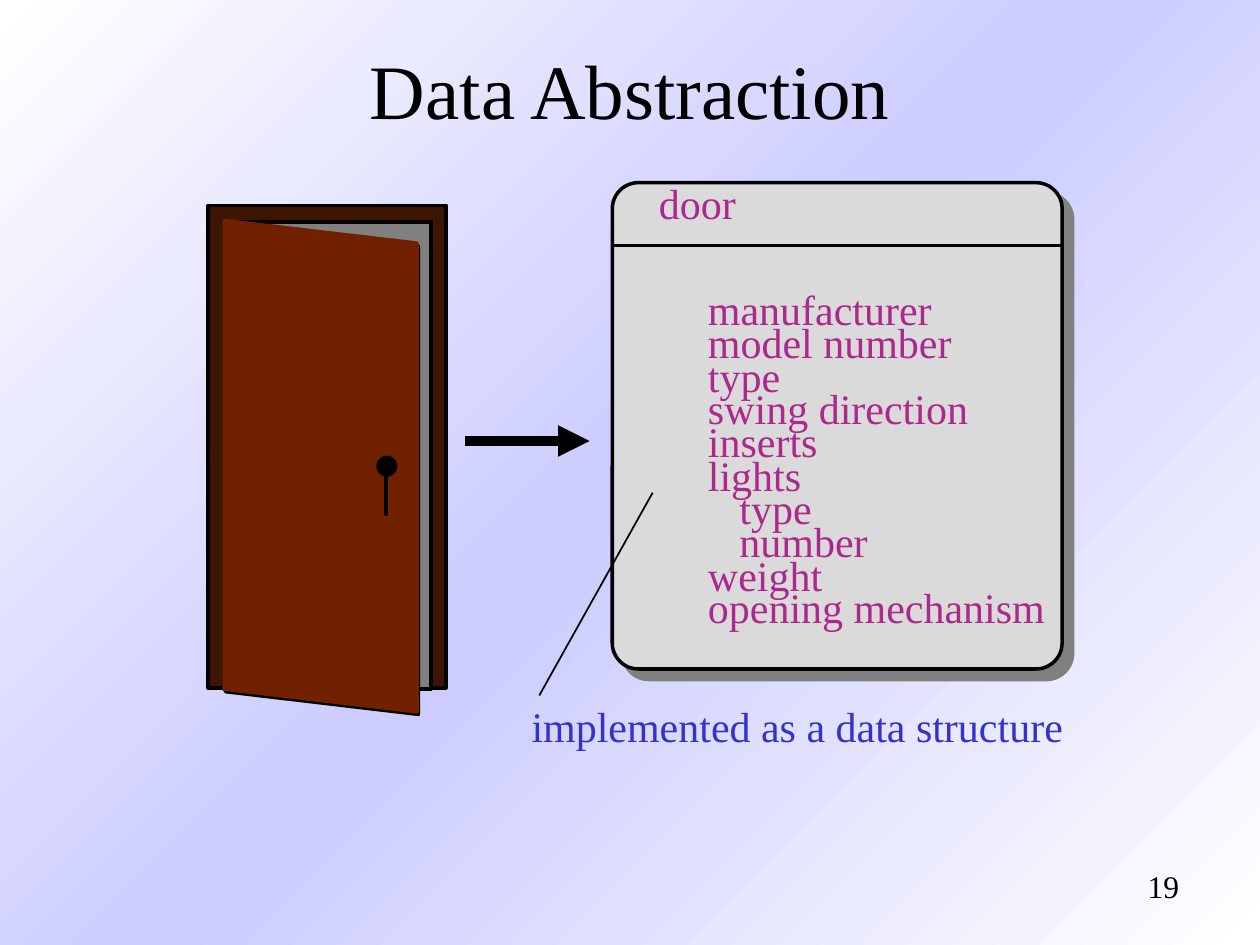
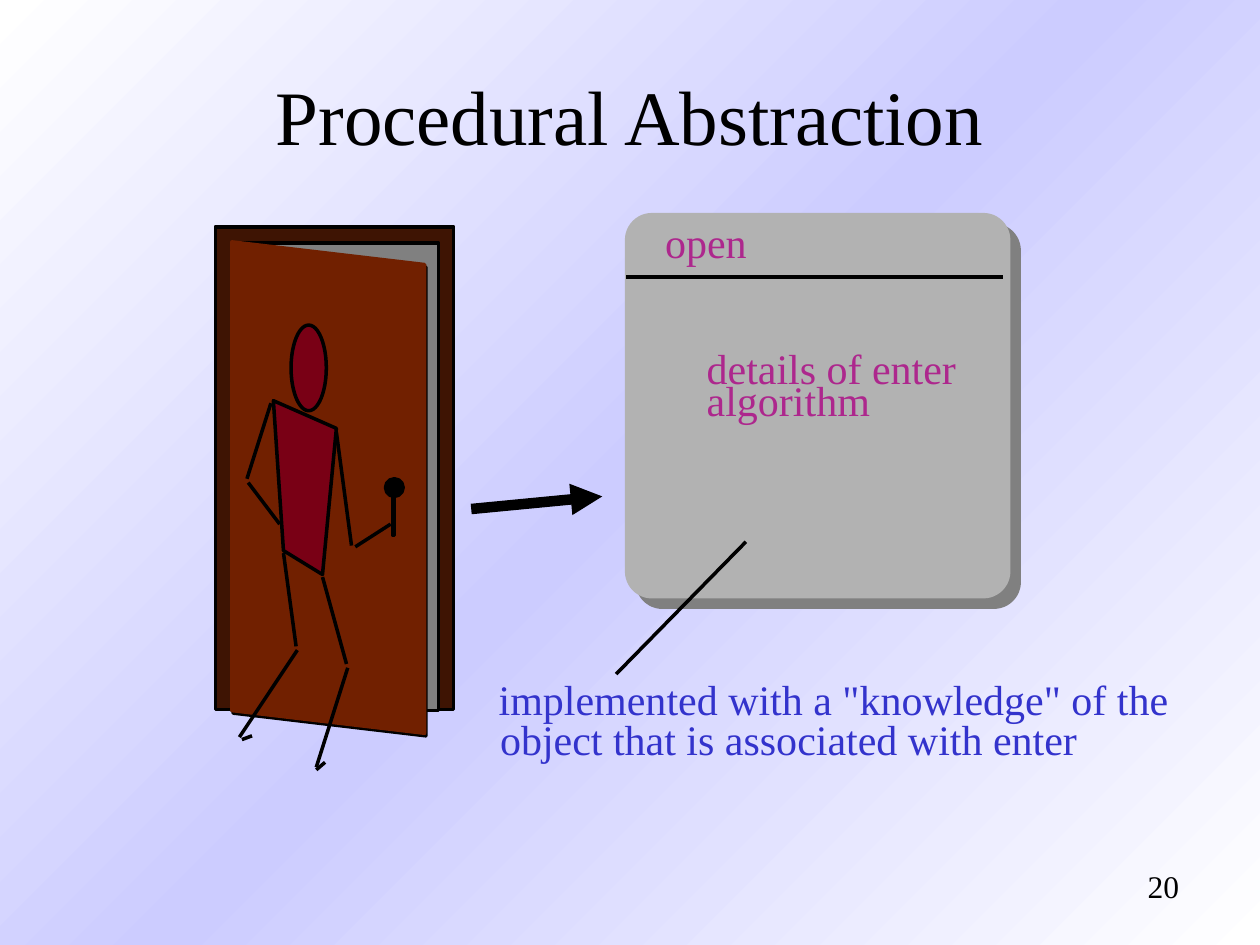
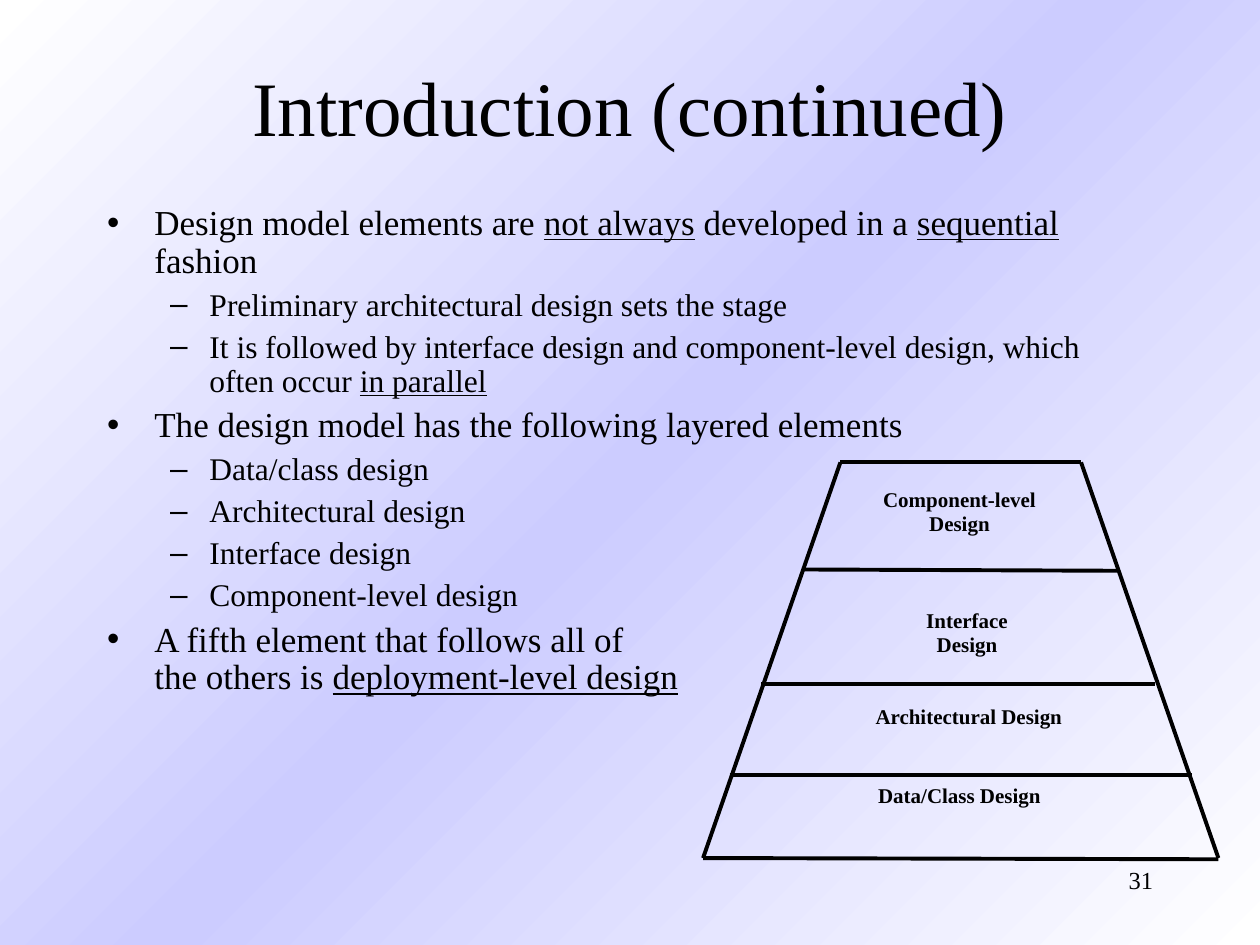
from copy import deepcopy
from typing import NamedTuple

from lxml.etree import SubElement
from pptx import Presentation
from pptx.dml.color import RGBColor
from pptx.enum.shapes import MSO_CONNECTOR, MSO_SHAPE
from pptx.enum.text import MSO_ANCHOR, MSO_AUTO_SIZE, PP_ALIGN
from pptx.oxml.ns import qn
from pptx.presentation import Presentation as Deck
from pptx.shapes.autoshape import Shape
from pptx.slide import Slide
from pptx.text.text import TextFrame
from pptx.util import Pt

PX = 9144
FONT = "Times New Roman"
BLACK = RGBColor(0x00, 0x00, 0x00)
WHITE = RGBColor(0xFF, 0xFF, 0xFF)
LILAC = RGBColor(0xCC, 0xCC, 0xFF)
PLUM = RGBColor(0xAD, 0x27, 0x8D)
BLUE = RGBColor(0x33, 0x33, 0xCC)
GREY = RGBColor(0x80, 0x80, 0x80)
SILVER = RGBColor(0xB2, 0xB2, 0xB2)
PALE = RGBColor(0xDA, 0xDA, 0xDA)
FRAME = RGBColor(0x3E, 0x14, 0x03)
PANEL = RGBColor(0x71, 0x20, 0x00)
WINE = RGBColor(0x79, 0x00, 0x15)


class Box(NamedTuple):
    left: int
    top: int
    wide: int
    high: int

    def emu(self) -> list[int]:
        return [side * PX for side in self]


class Dot(NamedTuple):
    x: int
    y: int


class Line(NamedTuple):
    start: Dot
    end: Dot
    weight: float = 2


class Note(NamedTuple):
    text: str
    box: Box
    color: RGBColor = PLUM
    size: int = 24
    bold: bool = False
    wrap: bool = False
    align: PP_ALIGN = PP_ALIGN.LEFT
    space: float = 1.0


class Item(NamedTuple):
    level: int
    text: str


class Card(NamedTuple):
    box: Box
    round: float
    fill: RGBColor
    edge: RGBColor | None = None


ROWS = (
    Item(0, "manufacturer"),
    Item(0, "model number"),
    Item(0, "type"),
    Item(0, "swing direction"),
    Item(0, "inserts"),
    Item(0, "lights"),
    Item(1, "type"),
    Item(1, "number"),
    Item(0, "weight"),
    Item(0, "opening mechanism"),
)
WIDTHS = (199, 215, 78, 228, 108, 95, 78, 123, 111, 290)

LIMBS = (
    Line(Dot(267, 343), Dot(279, 433)),
    Line(Dot(282, 434), Dot(310, 416)),
    Line(Dot(215, 320), Dot(196, 380)),
    Line(Dot(197, 383), Dot(222, 416)),
    Line(Dot(256, 458), Dot(275, 527)),
    Line(Dot(276, 530), Dot(251, 609)),
    Line(Dot(251, 611), Dot(258, 605)),
    Line(Dot(225, 439), Dot(235, 513)),
    Line(Dot(236, 516), Dot(190, 585)),
    Line(Dot(192, 587), Dot(200, 584)),
)

POINTS = (
    Item(0, "Design model elements are _not always_ developed in a _sequential_ fashion"),
    Item(1, "Preliminary architectural design sets the stage"),
    Item(1, "It is followed by interface design and component-level design, "
            "which often occur _in parallel_"),
    Item(0, "The design model has the following layered elements"),
    Item(1, "Data/class design"),
    Item(1, "Architectural design"),
    Item(1, "Interface design"),
    Item(1, "Component-level design"),
    Item(0, "A fifth element that follows all of\nthe others is _deployment-level design_"),
)

LAYERS = (
    Note("Data/Class Design", Box(687, 618, 149, 73)),
    Note("Architectural Design", Box(679, 555, 180, 73)),
    Note("Interface Design", Box(705, 479, 125, 73)),
    Note("Component-level Design", Box(669, 383, 185, 73)),
)

EDGES = (
    Line(Dot(667, 367), Dot(558, 681), 2.25),
    Line(Dot(858, 367), Dot(967, 681), 2.25),
    Line(Dot(558, 681), Dot(967, 682), 2.25),
    Line(Dot(667, 367), Dot(858, 367), 2.25),
    Line(Dot(579, 615), Dot(946, 615), 2.25),
    Line(Dot(604, 543), Dot(917, 543), 2.25),
    Line(Dot(638, 452), Dot(887, 453), 2.25),
)


def paint_back(deck: Deck) -> None:
    master = deck.slide_master
    fill = master.background.fill
    fill.gradient()
    fill.gradient_angle = 135
    stops = master.element.find(".//" + qn("p:bg")).find(".//" + qn("a:gsLst"))
    stops.append(deepcopy(stops[0]))
    for stop, color, place in zip(fill.gradient_stops, (WHITE, LILAC, WHITE), (0, 0.5, 1)):
        stop.color.rgb = color
        stop.position = place


def set_pads(frame: TextFrame, side: int, end: int) -> None:
    frame.margin_left = frame.margin_right = side * PX
    frame.margin_top = frame.margin_bottom = end * PX


def add_page(deck: Deck, layout: int, title: str, box: Box, tight: bool) -> Slide:
    slide = deck.slides.add_slide(deck.slide_layouts[layout])
    head = slide.shapes.title
    head.left, head.top, head.width, head.height = box.emu()
    frame = head.text_frame
    frame.text = title
    frame.auto_size = MSO_AUTO_SIZE.NONE
    frame.vertical_anchor = MSO_ANCHOR.MIDDLE
    frame.word_wrap = not tight
    set_pads(frame, *((7, 3) if tight else (10, 5)))
    line = frame.paragraphs[0]
    line.alignment = PP_ALIGN.CENTER
    line.line_spacing = 1.0 if tight else 0.95
    line.font.name = FONT
    line.font.size = Pt(44)
    line.font.color.rgb = BLACK
    return slide


def add_note(slide: Slide, note: Note) -> None:
    frame = slide.shapes.add_textbox(*note.box.emu()).text_frame
    frame.text = note.text
    frame.word_wrap = note.wrap
    set_pads(frame, 10, 5)
    line = frame.paragraphs[0]
    line.alignment = note.align
    line.line_spacing = note.space
    line.font.name = FONT
    line.font.size = Pt(note.size)
    line.font.bold = note.bold
    line.font.color.rgb = note.color


def add_count(slide: Slide, count: str) -> None:
    add_note(slide, Note(count, Box(901, 683, 69, 52), BLACK, 18, wrap=True))


def add_line(slide: Slide, line: Line, arrow: bool = False) -> None:
    ends = [side * PX for side in (*line.start, *line.end)]
    link = slide.shapes.add_connector(MSO_CONNECTOR.STRAIGHT, *ends)
    link.line.color.rgb = BLACK
    link.line.width = Pt(line.weight)
    props = link.element.spPr
    if arrow:
        SubElement(props.find(qn("a:ln")), qn("a:tailEnd"), type="triangle")
    SubElement(props, qn("a:effectLst"))


def style(shape: Shape, fill: RGBColor | None, edge: RGBColor | None) -> None:
    shape.shadow.inherit = False
    if fill is None:
        shape.fill.background()
    else:
        shape.fill.solid()
        shape.fill.fore_color.rgb = fill
    if edge is None:
        shape.line.fill.background()
    else:
        shape.line.color.rgb = edge
        shape.line.width = Pt(2)


def add_form(slide: Slide, kind: MSO_SHAPE, box: Box, fill: RGBColor,
             edge: RGBColor | None = BLACK) -> Shape:
    shape = slide.shapes.add_shape(kind, *box.emu())
    style(shape, fill, edge)
    return shape


def add_path(slide: Slide, dots: list[Dot], fill: RGBColor | None, edge: RGBColor) -> None:
    pen = slide.shapes.build_freeform(*dots[0], scale=PX)
    pen.add_line_segments(dots[1:], close=True)
    style(pen.convert_to_shape(), fill, edge)


def add_card(slide: Slide, card: Card) -> None:
    shape = add_form(slide, MSO_SHAPE.ROUNDED_RECTANGLE, card.box, card.fill, card.edge)
    shape.adjustments[0] = card.round
    effects = shape.element.spPr.find(qn("a:effectLst"))
    shade = SubElement(effects, qn("a:outerShdw"), dist=str(Pt(8.5)), dir="2700000",
                       algn="ctr", rotWithShape="0")
    SubElement(shade, qn("a:srgbClr"), val=str(GREY))


def add_door(slide: Slide, left: int, top: int) -> None:
    def spot(x: int, y: int, wide: int, high: int) -> Box:
        return Box(left + x, top + y, wide, high)

    def leaf(x: int, y: int) -> list[Dot]:
        corners = ((0, 0), (153, 18), (153, 390), (0, 372))
        return [Dot(left + x + dx, top + y + dy) for dx, dy in corners]

    add_form(slide, MSO_SHAPE.RECTANGLE, spot(0, 0, 189, 383), FRAME)
    add_form(slide, MSO_SHAPE.RECTANGLE, spot(13, 13, 164, 371), GREY)
    add_path(slide, leaf(14, 14), None, BLACK)
    add_path(slide, leaf(13, 12), PANEL, PANEL)
    add_form(slide, MSO_SHAPE.OVAL, spot(135, 200, 14, 14), BLACK)
    add_form(slide, MSO_SHAPE.RECTANGLE, spot(141, 212, 1, 33), BLACK)


def add_man(slide: Slide) -> None:
    add_form(slide, MSO_SHAPE.OVAL, Box(231, 258, 28, 68), WINE)
    trunk = [Dot(217, 318), Dot(267, 340), Dot(256, 456), Dot(225, 437)]
    add_path(slide, trunk, WINE, BLACK)
    for limb in LIMBS:
        add_line(slide, limb)


def fill_list(slide: Slide) -> None:
    body = slide.placeholders[1]
    body.left, body.top, body.width, body.height = Box(75, 158, 850, 450).emu()
    frame = body.text_frame
    frame.auto_size = MSO_AUTO_SIZE.NONE
    set_pads(frame, 10, 5)
    for index, item in enumerate(POINTS):
        line = frame.add_paragraph() if index else frame.paragraphs[0]
        line.level = item.level
        line.line_spacing = 0.9
        line.space_before = Pt((5, 4.5)[item.level])
        line.font.name = FONT
        line.font.size = Pt((20, 18)[item.level])
        line.font.color.rgb = BLACK
        for turn, piece in enumerate(item.text.split("_")):
            for row, words in enumerate(piece.split("\n")):
                if row:
                    line.add_line_break()
                if words:
                    run = line.add_run()
                    run.text = words
                    if turn % 2:
                        run.font.underline = True


def data_page(deck: Deck) -> None:
    slide = add_page(deck, 5, "Data Abstraction", Box(283, 30, 434, 80), True)
    add_count(slide, "19")
    add_card(slide, Card(Box(486, 145, 357, 386), 0.058, PALE, BLACK))
    add_line(slide, Line(Dot(486, 195), Dot(842, 195)))
    add_note(slide, Note("door", Box(513, 136, 82, 50)))
    add_line(slide, Line(Dot(518, 391), Dot(428, 552), 1))
    add_note(slide, Note("implemented as a data structure", Box(412, 551, 445, 50), BLUE))
    for index, (row, wide) in enumerate(zip(ROWS, WIDTHS)):
        top = 220 + round(index * 237 / 9)
        add_note(slide, Note(row.text, Box(552 + 25 * row.level, top, wide, 50)))
    add_door(slide, 165, 163)
    add_line(slide, Line(Dot(369, 350), Dot(468, 350), 6), arrow=True)


def action_page(deck: Deck) -> None:
    slide = add_page(deck, 5, "Procedural Abstraction", Box(208, 51, 584, 80), True)
    add_count(slide, "20")
    add_line(slide, Line(Dot(374, 404), Dot(478, 394), 6), arrow=True)
    add_door(slide, 171, 180)
    add_man(slide)
    add_card(slide, Card(Box(496, 169, 306, 306), 0.07, SILVER))
    add_line(slide, Line(Dot(497, 220), Dot(796, 220)))
    add_line(slide, Line(Dot(592, 430), Dot(489, 535)))
    for note in (
        Note("open", Box(518, 167, 85, 50)),
        Note('implemented with a "knowledge" of the', Box(386, 530, 573, 50), BLUE),
        Note("object that is associated with enter", Box(387, 561, 482, 50), BLUE),
        Note("details of enter", Box(551, 267, 228, 50)),
        Note("algorithm", Box(551, 292, 151, 50)),
    ):
        add_note(slide, note)


def intro_page(deck: Deck) -> None:
    slide = add_page(deck, 1, "Introduction (continued)", Box(75, 25, 850, 125), False)
    add_note(slide, Note("31", Box(717, 683, 208, 32), BLACK, 14, wrap=True,
                         align=PP_ALIGN.RIGHT, space=0.95))
    fill_list(slide)
    for layer in LAYERS:
        add_note(slide, layer._replace(color=BLACK, size=12, bold=True, wrap=True,
                                       align=PP_ALIGN.CENTER, space=0.95))
    for edge in EDGES:
        add_line(slide, edge)


def main() -> None:
    deck = Presentation()
    deck.slide_width, deck.slide_height = 1000 * PX, 750 * PX
    paint_back(deck)
    data_page(deck)
    action_page(deck)
    intro_page(deck)
    deck.save("out.pptx")


if __name__ == "__main__":
    main()
